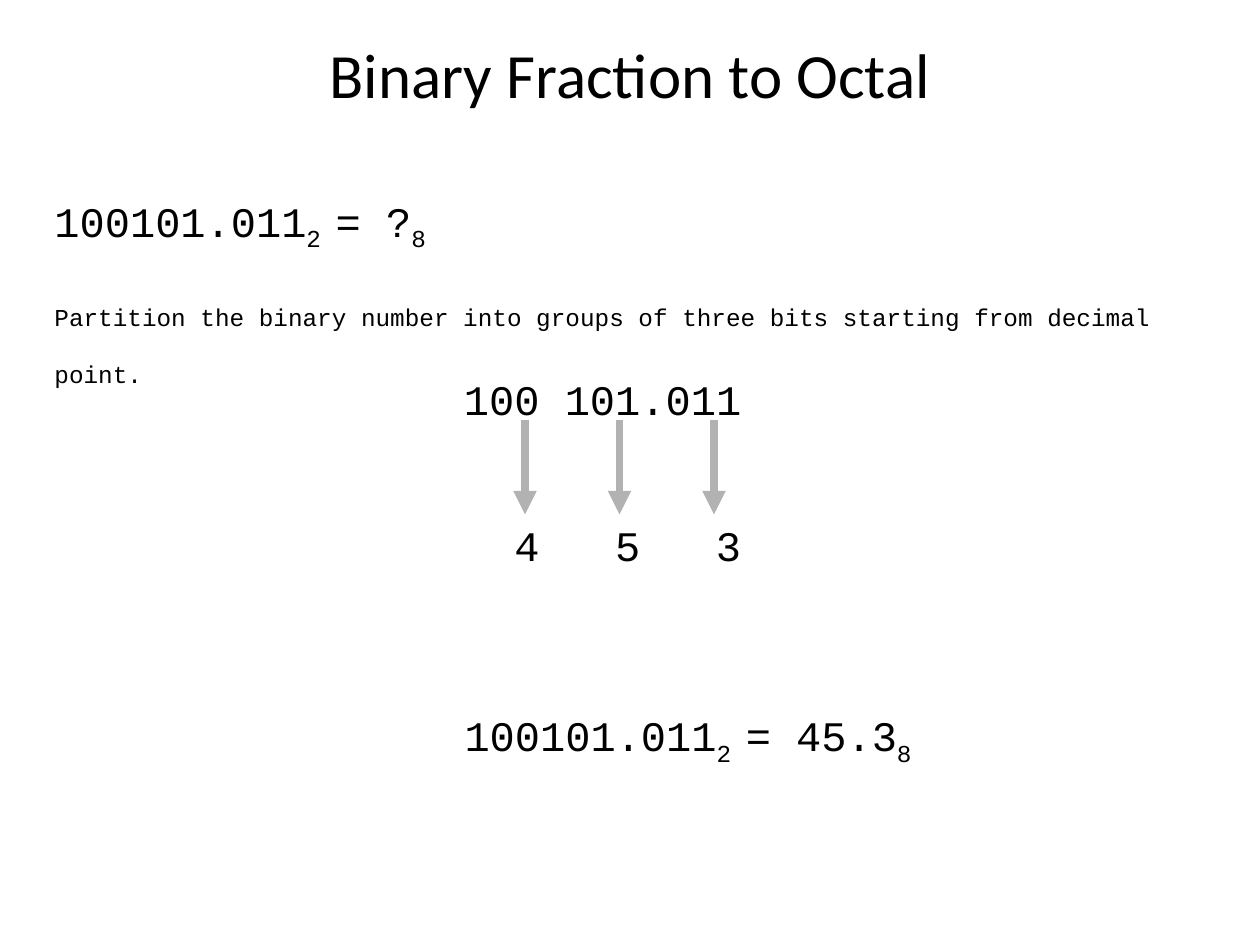
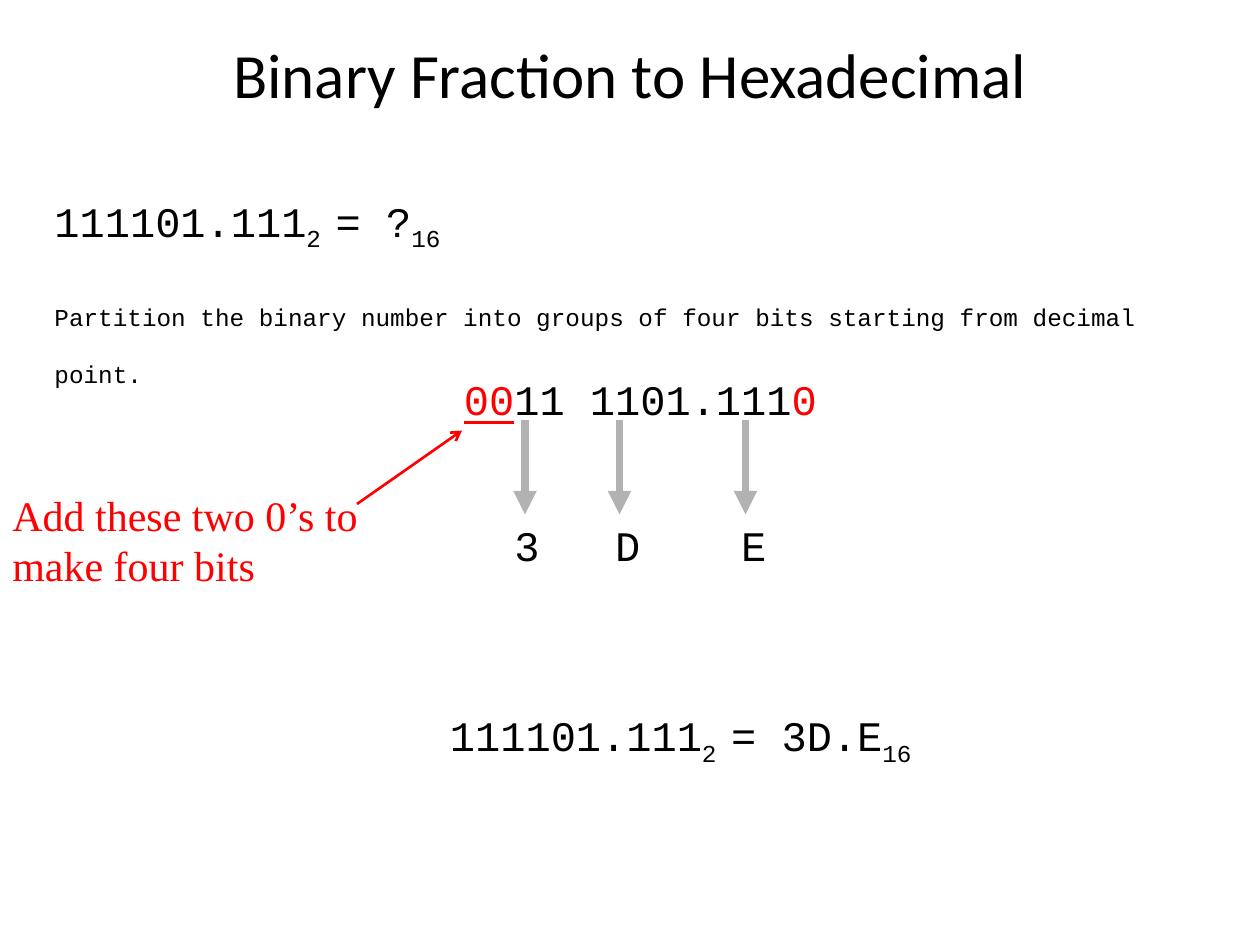
from dataclasses import dataclass

from lxml import etree
from pptx import Presentation
from pptx import util as u
from pptx.dml.color import RGBColor
from pptx.enum import shapes, text
from pptx.oxml.ns import qn

COLUMNS, ROWS = 120, 90
CELL = u.Inches(10) // COLUMNS


@dataclass(frozen=True)
class Theme:
    ink: RGBColor = RGBColor(0, 0, 0)
    accent: RGBColor = RGBColor(0xFF, 0, 0)
    arrow: RGBColor = RGBColor(0xB2, 0xB2, 0xB2)
    title_font: str = "Calibri"
    code_font: str = "Courier New"
    note_font: str = "Times New Roman"
    title_size: u.Pt = u.Pt(36)
    body_size: u.Pt = u.Pt(24)
    paragraph_gap: u.Pt = u.Pt(12)
    digit_gap: u.Pt = u.Pt(54.4)
    character: u.Inches = u.Inches(0.2)


THEME = Theme()

# Boxes are left, top, width, height in grid cells.
TITLE = (9, 2, 102, 10)
QUESTION = (4, 18, 111, 14)
PARTITION = (43, 35, 58, 21)
RESULT = (32, 67, 56, 6)
NOTE = (0, 46, 41, 11)


def add_frame(parent, box):
    frame = parent.add_textbox(*(CELL * n for n in box)).text_frame
    frame.word_wrap = True
    return frame


def style(para, font=THEME.code_font, size=THEME.body_size, color=THEME.ink):
    para.font.name, para.font.size = font, size
    para.font.color.rgb = color


def add_span(para, words, subscript=False, color=None, underline=None):
    span = para.add_run()
    span.text = words
    if subscript:
        span._r.get_or_add_rPr().set("baseline", "-25000")
    if color is not None:
        span.font.color.rgb = color
    if underline:
        span.font.underline = True


def add_arrow(parent, start, end, color, width, head):
    ends = (CELL * n for n in (*start, *end))
    arrow = parent.add_connector(shapes.MSO_CONNECTOR.STRAIGHT, *ends)
    arrow.line.color.rgb, arrow.line.width = color, u.Pt(width)
    etree.SubElement(arrow.line._get_or_add_ln(), qn("a:tailEnd"), type=head)
    etree.SubElement(arrow._element.spPr, qn("a:effectLst"))


def add_title(page, words):
    frame = add_frame(page.shapes, TITLE)
    frame.vertical_anchor = text.MSO_ANCHOR.MIDDLE
    para = frame.paragraphs[0]
    para.alignment = text.PP_ALIGN.CENTER
    style(para, THEME.title_font, THEME.title_size)
    add_span(para, words)


def write_equation(para, binary, answer, base):
    style(para)
    add_span(para, binary)
    add_span(para, "2 ", subscript=True)
    add_span(para, f"= {answer}")
    add_span(para, base, subscript=True)


def add_question(page, binary, base, group_size):
    frame = add_frame(page.shapes, QUESTION)
    write_equation(frame.paragraphs[0], binary, "?", base)
    para = frame.add_paragraph()
    para.space_before = THEME.paragraph_gap
    style(para)
    add_span(para, f"Partition the binary number into groups of {group_size} bits "
                   "starting from decimal point.", subscript=True)


def add_partition(page, bits, digits):
    """Bits, each group's arrow, and digits given as (digit, character, arrow column)."""
    group = page.shapes.add_group_shape().shapes
    left, top, _, _ = PARTITION
    frame = add_frame(group, PARTITION)
    para = frame.paragraphs[0]
    style(para)
    for words, look in bits:
        add_span(para, words, **look)

    para = frame.add_paragraph()
    para.space_before = THEME.digit_gap
    tabs = etree.SubElement(para._p.get_or_add_pPr(), qn("a:tabLst"))
    for _, character, _ in digits:
        etree.SubElement(tabs, qn("a:tab"), pos=str(character * THEME.character), algn="l")
    style(para)
    add_span(para, "".join(f"\t{digit}" for digit, _, _ in digits))
    for _, _, column in digits:
        x = left + column
        add_arrow(group, (x, top + 5), (x, top + 14), THEME.arrow, 4.5, "triangle")


def add_result(page, binary, answer, base):
    para = add_frame(page.shapes, RESULT).paragraphs[0]
    para.alignment = text.PP_ALIGN.RIGHT
    write_equation(para, binary, answer, base)


def add_note(page, words):
    left, top, _, _ = NOTE
    para = add_frame(page.shapes, NOTE).paragraphs[0]
    style(para, THEME.note_font, color=THEME.accent)
    add_span(para, words)
    add_arrow(page.shapes, (left + 34, top + 2), (left + 44, top - 5),
              THEME.accent, 1.5, "arrow")


def add_conversion(deck, title, binary, base, group_size, bits, digits, answer):
    page = deck.slides.add_slide(deck.slide_layouts[6])
    add_title(page, title)
    add_question(page, binary, base, group_size)
    add_partition(page, bits, digits)
    add_result(page, binary, answer, base)
    return page


def main():
    deck = Presentation()
    deck.slide_width, deck.slide_height = CELL * COLUMNS, CELL * ROWS
    add_conversion(
        deck, "Binary Fraction to Octal", "100101.011", "8", "three",
        bits=[("100 101.011", {})],
        digits=[("4", 2, 7), ("5", 6, 16), ("3", 10, 25)],
        answer="45.3")
    page = add_conversion(
        deck, "Binary Fraction to Hexadecimal", "111101.111", "16", "four",
        bits=[("00", {"color": THEME.accent, "underline": True}),
              ("11 1101.111", {}),
              ("0", {"color": THEME.accent})],
        digits=[("3", 2, 7), ("D", 6, 16), ("E", 11, 28)],
        answer="3D.E")
    add_note(page, "Add these two 0’s to make four bits")
    deck.save("out.pptx")


if __name__ == "__main__":
    main()
